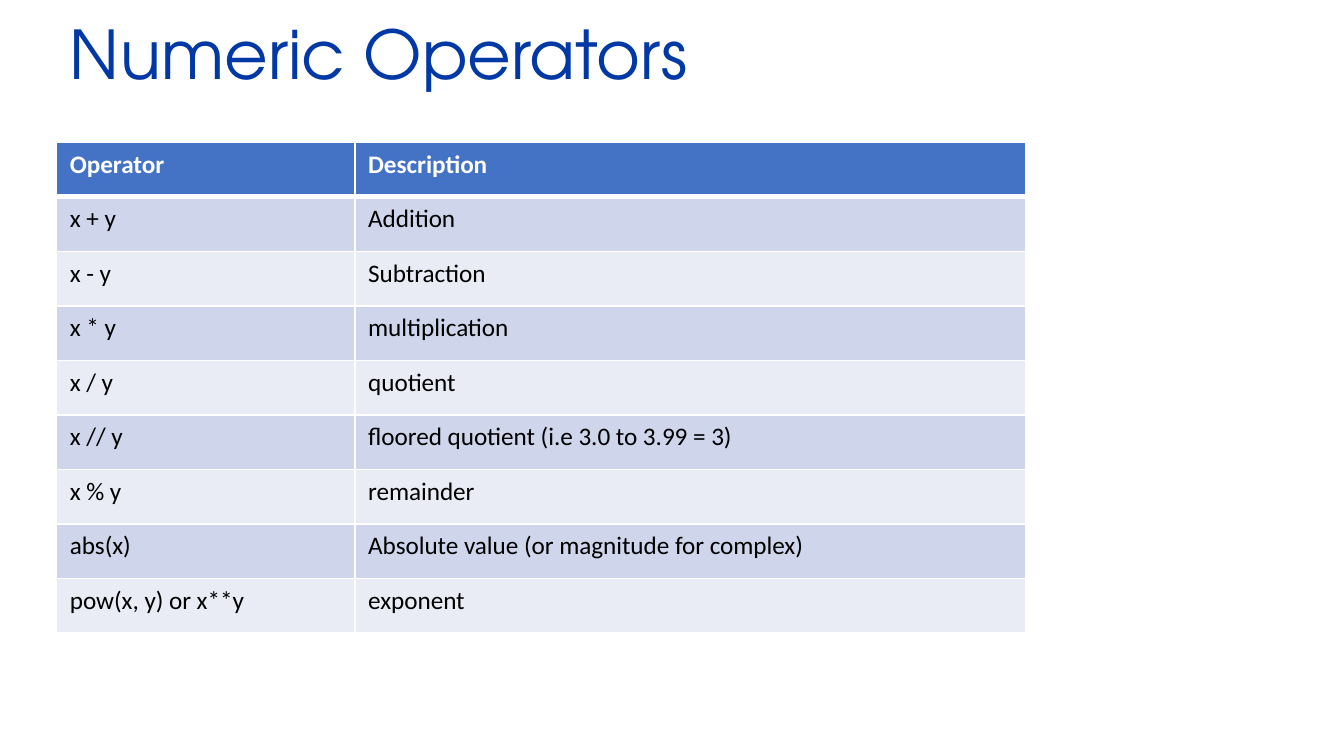
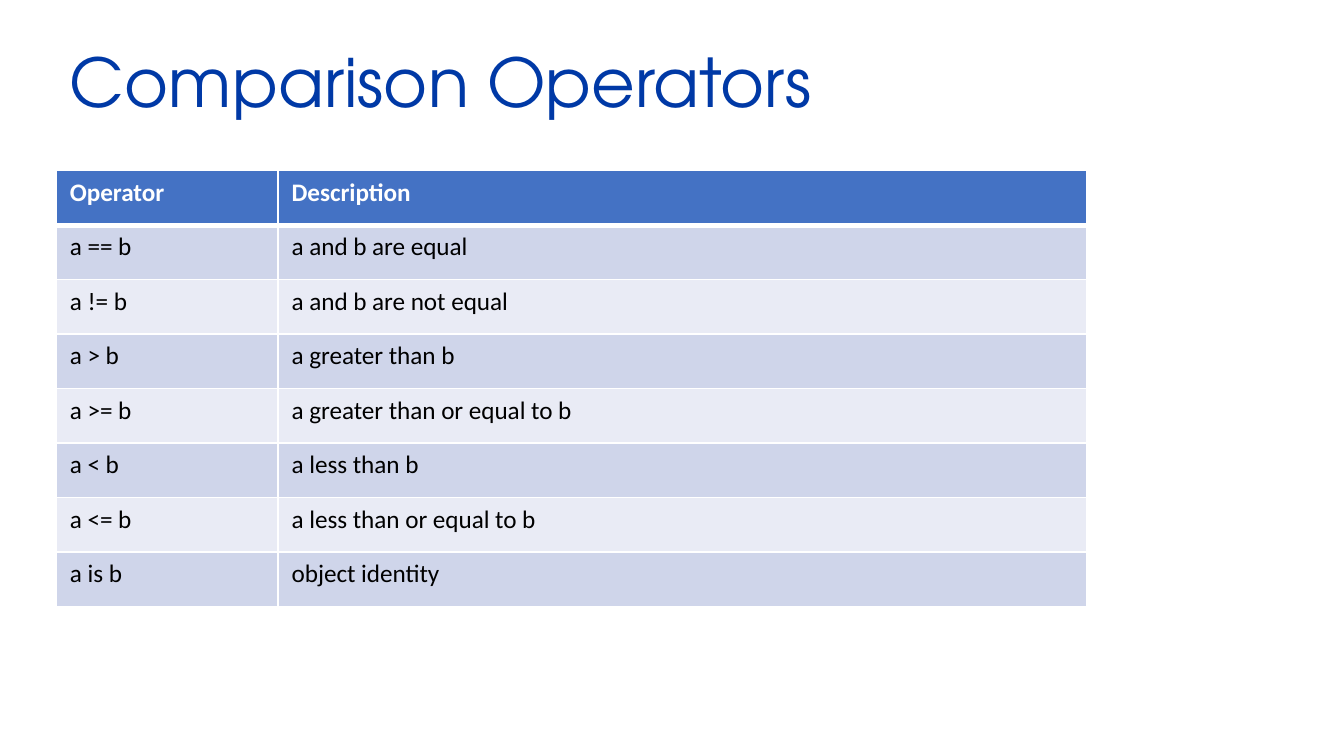
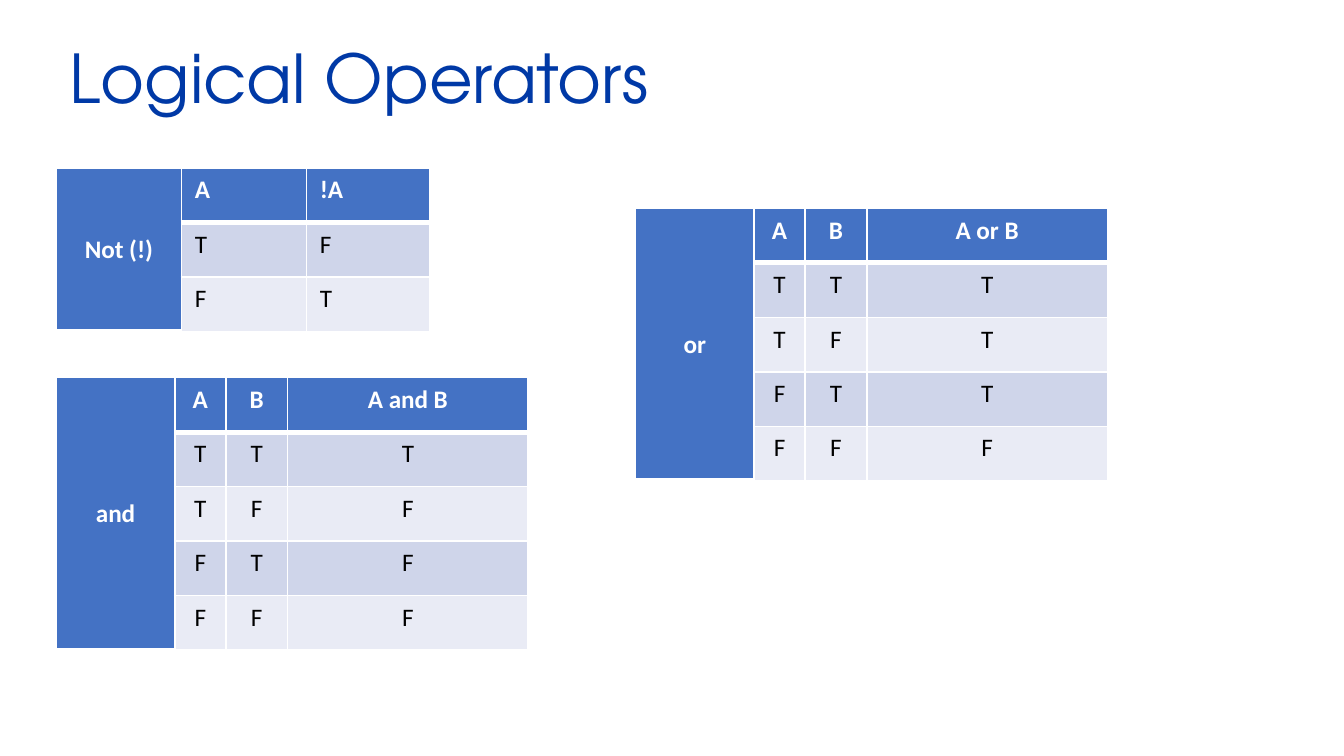
from lxml import etree
from pptx import Presentation
from pptx.dml.color import RGBColor
from pptx.enum import text
from pptx.oxml import ns
from pptx.util import Inches, Pt

COLORS = {
    "title": "0039A6",
    "header": "4472C4",
    "odd": "CFD5EA",
    "even": "E9EBF5",
    "white": "FFFFFF",
    "black": "000000",
}
TITLE_FONT = "TeX Gyre Adventor"
BODY_FONT = "Calibri"
PAGE_WIDTH = Inches(10)
PAGE_HEIGHT = PAGE_WIDTH * 9 // 16
LEFT = Inches(0.42)
TITLE_WIDTH = Inches(9.16)
TITLE_HEIGHT = Inches(0.95)
ROW_HEIGHT = Inches(3.65) // 9
TRUTH_COLUMNS = (0.88, 0.38, 0.46, 1.79)
TRUTH_INPUTS = ("TT", "TF", "FT", "FF")

NUMERIC_ROWS = [
    ("Operator", "Description"),
    ("x + y", "Addition"),
    ("x - y", "Subtraction"),
    ("x * y", "multiplication"),
    ("x / y", "quotient"),
    ("x // y", "floored quotient (i.e 3.0 to 3.99 = 3)"),
    ("x % y", "remainder"),
    ("abs(x)", "Absolute value (or magnitude for complex)"),
    ("pow(x, y) or x**y", "exponent"),
]
COMPARISON_ROWS = [
    ("Operator", "Description"),
    ("a == b", "a and b are equal"),
    ("a != b", "a and b are not equal"),
    ("a > b", "a greater than b"),
    ("a >= b", "a greater than or equal to b"),
    ("a < b", "a less than b"),
    ("a <= b", "a less than or equal to b"),
    ("a is b", "object identity"),
]


def write(frame, words, size=13.5, font=BODY_FONT, color="black", bold=False,
          centered=False, spacing=None):
    """Put one formatted paragraph into a text frame."""
    para = frame.paragraphs[0]
    para.alignment = text.PP_ALIGN.CENTER if centered else text.PP_ALIGN.LEFT
    para.line_spacing = spacing
    span = para.add_run()
    span.text = words
    span.font.size = Pt(size)
    span.font.name = font
    span.font.bold = bold
    span.font.color.rgb = RGBColor.from_string(COLORS[color])


def add_page(deck, title, top):
    """Add a slide whose title box starts at the given top."""
    page = deck.slides.add_slide(deck.slide_layouts[5])
    box = page.shapes.title
    box.left, box.top, box.width, box.height = LEFT, top, TITLE_WIDTH, TITLE_HEIGHT
    frame = box.text_frame
    frame.vertical_anchor = text.MSO_ANCHOR.TOP
    frame.auto_size = text.MSO_AUTO_SIZE.NONE
    write(frame, title, size=36, font=TITLE_FONT, color="title", spacing=0.9)
    return page


def set_borders(cell, **widths):
    """Draw white cell borders, given as side=points."""
    properties = cell._tc.get_or_add_tcPr()
    for index, (side, points) in enumerate(widths.items()):
        line = etree.Element(ns.qn(f"a:ln{side}"), w=str(Pt(points)))
        fill = etree.SubElement(line, ns.qn("a:solidFill"))
        etree.SubElement(fill, ns.qn("a:srgbClr"), val=COLORS["white"])
        properties.insert(index, line)


def add_operator_table(page, left, top, widths, rows, label=None, centered=False):
    """Add a banded table, with an optional merged label column."""
    first = 0 if label is None else 1
    table = page.shapes.add_table(
        len(rows), len(widths), left, top,
        Inches(sum(widths)), ROW_HEIGHT * len(rows)).table
    for column, width in zip(table.columns, widths):
        column.width = Inches(width)
    for r, values in enumerate(rows):
        table.rows[r].height = ROW_HEIGHT
        for c in range(len(widths)):
            cell = table.cell(r, c)
            heading = r == 0 or c < first
            band = "header" if heading else ("odd" if r % 2 else "even")
            cell.fill.solid()
            cell.fill.fore_color.rgb = RGBColor.from_string(COLORS[band])
            set_borders(cell, L=1, R=1, T=3 if r == 1 else 1, B=3 if r == 0 else 1)
            if c >= first:
                write(cell.text_frame, values[c - first], bold=heading,
                      color="white" if heading else "black", centered=centered)
    if label is not None:
        corner = table.cell(0, 0)
        corner.merge(table.cell(len(rows) - 1, 0))
        corner.vertical_anchor = text.MSO_ANCHOR.MIDDLE
        write(corner.text_frame, label, color="white", bold=True, centered=True)


def add_truth_table(page, left, top, name, results):
    """Add the truth table of a two-input operator."""
    rows = [("A", "B", f"A {name} B")]
    rows += [(*inputs, result) for inputs, result in zip(TRUTH_INPUTS, results)]
    add_operator_table(page, left, top, TRUTH_COLUMNS, rows, label=name, centered=True)


def add_list_page(deck, title, top, widths, rows):
    """Add a slide with one operator table right below its title."""
    page = add_page(deck, title, top)
    add_operator_table(page, LEFT, top + TITLE_HEIGHT, widths, rows)


def add_logic_page(deck):
    """Add the slide with the three truth tables."""
    page = add_page(deck, "Logical Operators", Inches(0.29))
    add_operator_table(page, LEFT, Inches(1.25), (0.93, 0.93, 0.92),
                       [("A", "!A"), ("T", "F"), ("F", "T")], label="Not (!)")
    add_truth_table(page, LEFT, Inches(2.81), "and", "TFFF")
    add_truth_table(page, Inches(4.73), Inches(1.55), "or", "TTTF")


def main():
    """Build the deck and save it."""
    deck = Presentation()
    deck.slide_width, deck.slide_height = PAGE_WIDTH, PAGE_HEIGHT
    add_list_page(deck, "Numeric Operators", Inches(0.11), (2.22, 4.99), NUMERIC_ROWS)
    add_list_page(deck, "Comparison Operators", Inches(0.32), (1.65, 6.02),
                  COMPARISON_ROWS)
    add_logic_page(deck)
    deck.save("out.pptx")


if __name__ == "__main__":
    main()
